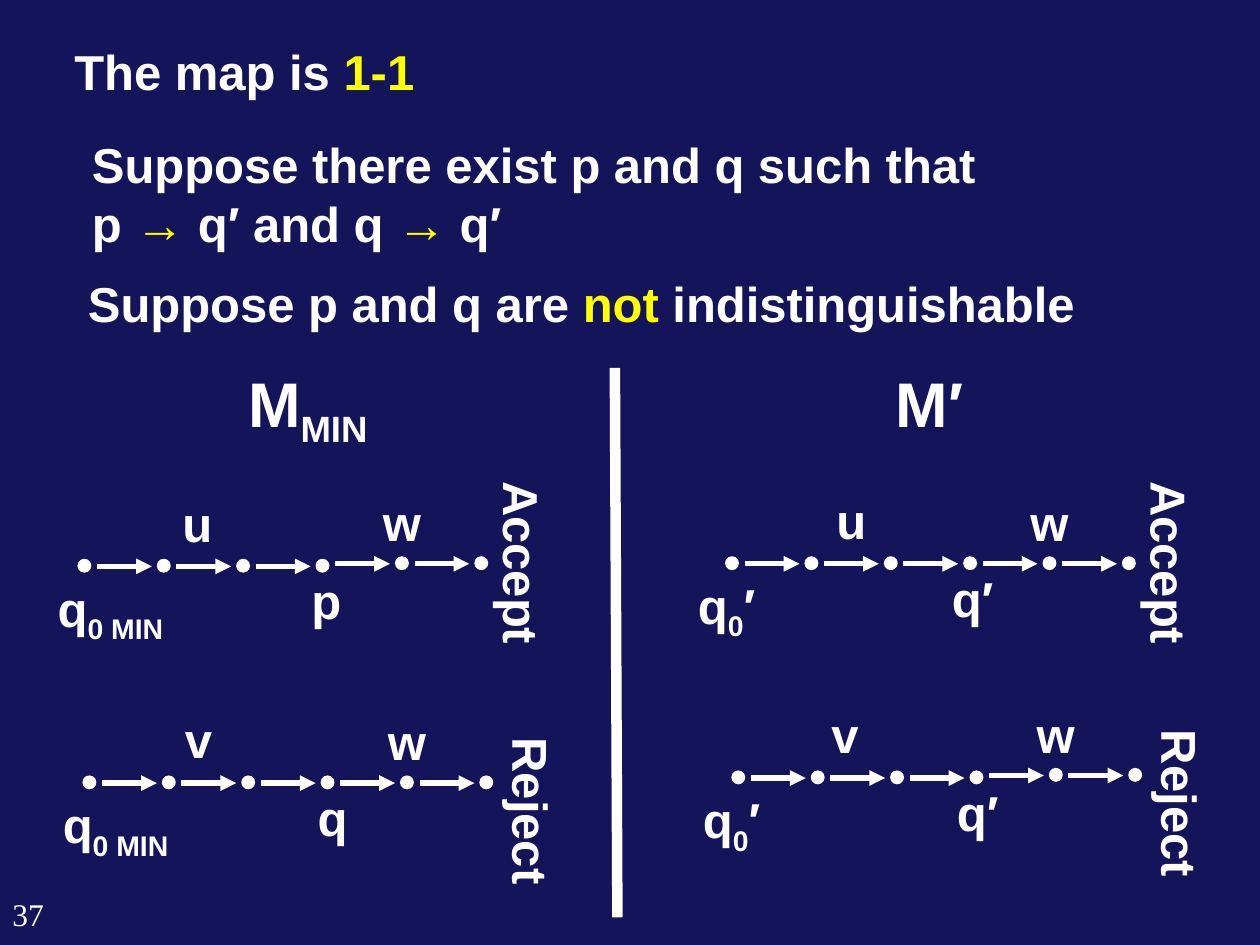
from dataclasses import dataclass
from typing import NamedTuple

from pptx import Presentation
from pptx.dml.color import RGBColor
from pptx.enum.shapes import MSO_CONNECTOR as CONN, MSO_SHAPE as SHAPE
from pptx.enum.text import MSO_ANCHOR as ANCHOR, MSO_AUTO_SIZE as AUTO, PP_ALIGN as ALIGN
from pptx.oxml.ns import qn
from pptx.util import Emu, Inches, Pt

COLORS = {"navy": "14145A", "white": "FFFFFF", "yellow": "FFFF00"}
COLS, ROWS = 100, 75
DOTS, STEP, DOT = 6, 6.3, 1.0
ARROW_FROM, ARROW_TO = 1.5, 5.85
TAIL_START = 3

prs = Presentation()
prs.slide_width, prs.slide_height = Inches(10), Inches(7.5)


class Run(NamedTuple):
    text: str
    color: str = "white"
    base: int = 0


class Box(NamedTuple):
    x: float
    y: float
    w: float
    h: float = 5.7


@dataclass
class Path:
    x: float
    y: float
    tail_y: float
    start: list[Run]
    start_dx: float
    start_w: float
    word: str
    word_dx: float
    state: str
    state_dx: float
    state_w: float
    verdict: str


@dataclass
class Verdict:
    dx: float
    dy: float
    w: float


VERDICTS = {"Accept": Verdict(27.8, -2.4, 14.9), "Reject": Verdict(28.8, -0.1, 13.6)}
Q_MIN = [Run("q"), Run("0 MIN", base=-25)]
Q_PRIME = [Run("q"), Run("0", base=-25), Run("′")]
PATHS = [
    Path(6.2, 44.4, 44.2, Q_MIN, -2.6, 10.4, "u", 7.3, "p", 17.5, 4.4, "Accept"),
    Path(6.6, 61.6, 61.6, Q_MIN, -2.6, 10.4, "v", 7.1, "q", 17.6, 4.4, "Reject"),
    Path(57.6, 44.2, 44.2, Q_PRIME, -3.2, 6.9, "u", 7.8, "q′", 16.8, 5.6, "Accept"),
    Path(58.1, 61.2, 61.0, Q_PRIME, -3.3, 6.9, "v", 6.9, "q′", 16.7, 5.6, "Reject"),
]


def across(cols: float) -> Emu:
    return Emu(round(prs.slide_width * cols / COLS))


def down(rows: float) -> Emu:
    return Emu(round(prs.slide_height * rows / ROWS))


def rgb(name: str) -> RGBColor:
    return RGBColor.from_string(COLORS[name])


def place(box: Box) -> tuple[Emu, Emu, Emu, Emu]:
    return across(box.x), down(box.y), across(box.w), down(box.h)


def write(sp, lines: list[list[Run]], size: int = 28, align=ALIGN.LEFT,
          font: str = "Arial", bold: bool = True) -> None:
    tf = sp.text_frame
    tf.word_wrap, tf.auto_size, tf.vertical_anchor = False, AUTO.NONE, ANCHOR.TOP
    for i, runs in enumerate(lines):
        p = tf.add_paragraph() if i else tf.paragraphs[0]
        p.alignment, p.space_before = align, Pt(0)
        for run in runs:
            r = p.add_run()
            r.text = run.text
            r.font.name, r.font.size, r.font.bold = font, Pt(size), bold
            r.font.color.rgb = rgb(run.color)
            if run.base:
                r.font._element.set("baseline", str(run.base * 1000))


def label(s, box: Box, runs: list[Run], turn: int = 0, **style) -> None:
    sp = s.shapes.add_textbox(*place(box))
    sp.rotation = turn
    write(sp, [runs], **style)


def fill_placeholder(sp, box: Box, lines: list[list[Run]]) -> None:
    sp.left, sp.top, sp.width, sp.height = place(box)
    write(sp, lines)
    for p in sp.text_frame.paragraphs:
        pr = p._p.get_or_add_pPr()
        pr.set("marL", "0")
        pr.set("indent", "0")
        pr.append(pr.makeelement(qn("a:buNone"), {}))


def line(s, x1: float, y1: float, x2: float, y2: float, width: float, arrow: bool) -> None:
    sp = s.shapes.add_connector(CONN.STRAIGHT, across(x1), down(y1), across(x2), down(y2))
    sp.line.color.rgb, sp.line.width = rgb("white"), Pt(width)
    if arrow:
        ln = sp.line._get_or_add_ln()
        ln.append(ln.makeelement(qn("a:tailEnd"), {"type": "triangle"}))
    pr = sp._element.spPr
    pr.append(pr.makeelement(qn("a:effectLst"), {}))


def dot(s, x: float, y: float) -> None:
    sp = s.shapes.add_shape(SHAPE.OVAL, *place(Box(x, y, DOT, DOT)))
    sp.shadow.inherit = False
    sp.fill.solid()
    sp.fill.fore_color.rgb = rgb("white")
    sp.line.color.rgb, sp.line.width = rgb("white"), Pt(0.75)


def draw_path(s, path: Path) -> None:
    for i in range(DOTS):
        x = path.x + i * STEP
        dot(s, x, path.tail_y if i > TAIL_START else path.y)
        if i < DOTS - 1:
            y = (path.tail_y if i >= TAIL_START else path.y) + 0.55
            line(s, x + ARROW_FROM, y, x + ARROW_TO, y, 3, True)
    v = VERDICTS[path.verdict]
    label(s, Box(path.x + path.start_dx, path.y + 1, path.start_w, 6.3), path.start)
    label(s, Box(path.x + path.word_dx, path.y - 5.75, 4.4), [Run(path.word)])
    label(s, Box(path.x + path.state_dx, path.y + 0.4, path.state_w), [Run(path.state)],
          align=ALIGN.CENTER)
    label(s, Box(path.x + 23.2, path.tail_y - 5.6, 5), [Run("w")])
    label(s, Box(path.x + v.dx, path.tail_y + v.dy, v.w), [Run(path.verdict)], turn=90)


def main() -> None:
    s = prs.slides.add_slide(prs.slide_layouts[1])
    s.background.fill.solid()
    s.background.fill.fore_color.rgb = rgb("navy")
    title, body = s.placeholders
    fill_placeholder(title, Box(4.9, 2.8, 29), [[Run("The map is "), Run("1-1", "yellow")]])
    arrow = Run("→", "yellow")
    fill_placeholder(body, Box(6.3, 10.2, 73.2, 10.4), [
        [Run("Suppose there exist p and q such that")],
        [Run("p "), arrow, Run(" q′ and q "), arrow, Run(" q′")],
    ])
    label(s, Box(6, 21.2, 80.3), [Run("Suppose p and q are "), Run("not ", "yellow"),
                                  Run("indistinguishable")])
    line(s, 48.8, 29.2, 49, 72.8, 6, False)
    label(s, Box(18.7, 28.4, 11.5, 7.9), [Run("M"), Run("MIN", base=-25)], size=36)
    label(s, Box(70.1, 28.4, 7.8, 7), [Run("M′")], size=36)
    for path in PATHS:
        draw_path(s, path)
    label(s, Box(0, 70.5, 5.7, 4.5), [Run("37")], size=18, font="Times New Roman", bold=False)
    prs.save("out.pptx")


if __name__ == "__main__":
    main()
